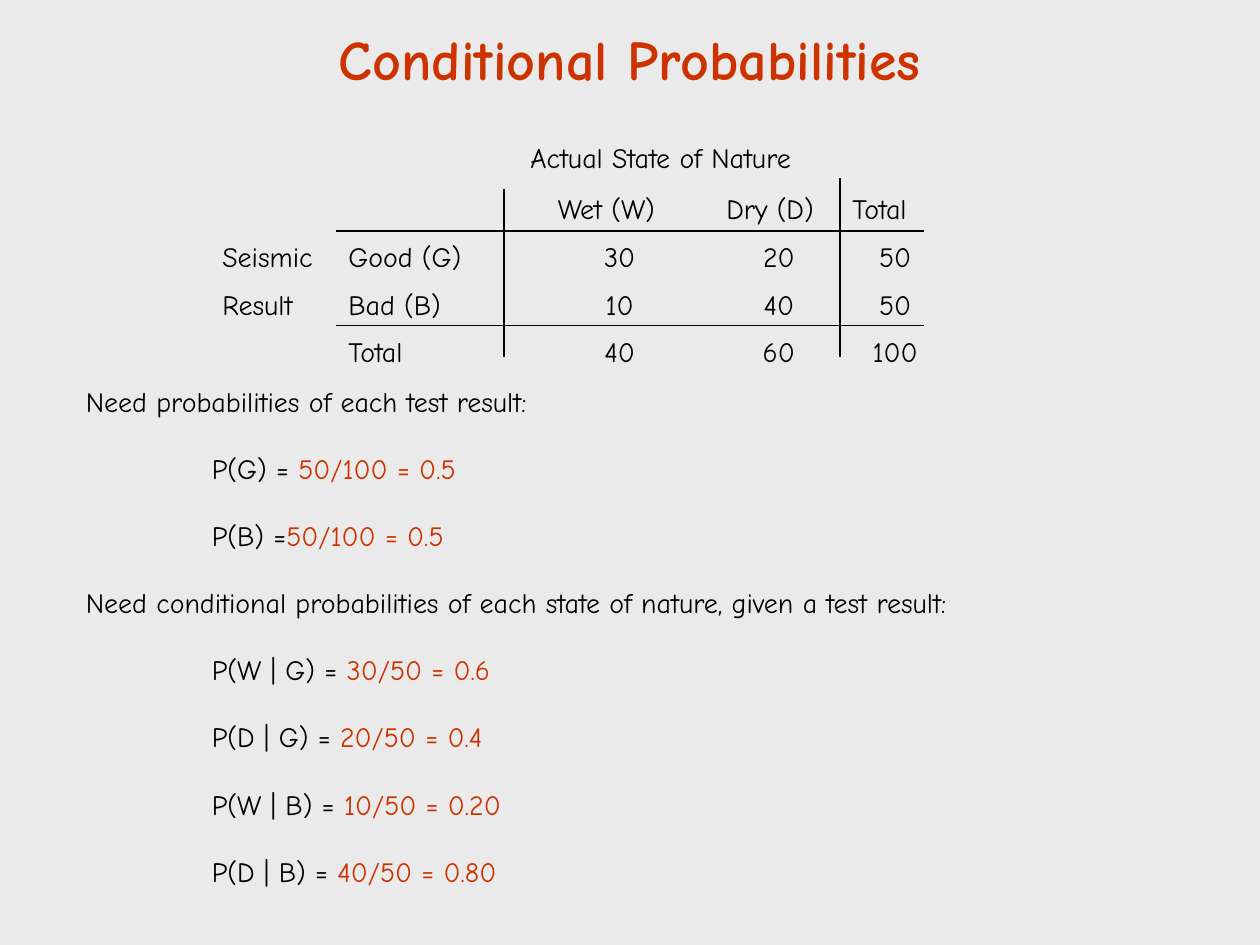
from lxml import etree
from pptx import Presentation
from pptx.dml.color import RGBColor
from pptx.enum.shapes import MSO_CONNECTOR
from pptx.enum.text import MSO_ANCHOR, MSO_AUTO_SIZE, PP_ALIGN
from pptx.oxml.ns import qn
from pptx.util import Pt

STRAIGHT = MSO_CONNECTOR.STRAIGHT
MIDDLE = MSO_ANCHOR.MIDDLE
NO_AUTOFIT = MSO_AUTO_SIZE.NONE
CENTER = PP_ALIGN.CENTER

BLACK = RGBColor(0x00, 0x00, 0x00)
RED = RGBColor(0xCC, 0x33, 0x00)
GRAY = RGBColor(0xEA, 0xEA, 0xEA)
FONT = "Comic Neue"


def add_box(s, left, top, width, height):
    tf = s.shapes.add_textbox(Pt(left), Pt(top), Pt(width), Pt(height)).text_frame
    tf.word_wrap = True
    tf.auto_size = NO_AUTOFIT
    return tf


def add_text(tf, *runs, size=16, bold=False, align=None, tabs=(), gap=0, spacing=None):
    """Add a paragraph of (text, color) runs; gap applies to all but the first."""
    p = tf.paragraphs[0]
    if p.runs:
        p = tf.add_paragraph()
        p.space_before = Pt(gap)
    if tabs:
        tab_list = etree.SubElement(p._p.get_or_add_pPr(), qn("a:tabLst"))
        for pos, side in tabs:
            etree.SubElement(tab_list, qn("a:tab"), pos=str(int(Pt(pos))), algn=side)
    p.alignment = align
    p.line_spacing = spacing
    for text, color in runs:
        r = p.add_run()
        r.text = text
        r.font.name = FONT
        r.font.size = Pt(size)
        r.font.bold = bold
        r.font.color.rgb = color


prs = Presentation()
prs.slide_width, prs.slide_height = Pt(720), Pt(540)
s = prs.slides.add_slide(prs.slide_layouts[6])
s.background.fill.solid()
s.background.fill.fore_color.rgb = GRAY

# Title
tf = add_box(s, 54, 12, 612, 42)
tf.vertical_anchor = MIDDLE
add_text(tf, ("Conditional Probabilities", RED), size=32, bold=True, align=CENTER)

# Probabilities: label and worked value; headings have no value
LABEL_TAB = (72, "l")
probabilities = [
    ("Need probabilities of each test result:",),
    ("\tP(G) = ", "50/100 = 0.5"),
    ("\tP(B) =", "50/100 = 0.5"),
    ("Need conditional probabilities of each state of nature, given a test result:",),
    ("\tP(W | G) = ", "30/50 = 0.6"),
    ("\tP(D | G) = ", "20/50 = 0.4"),
    ("\tP(W | B) = ", "10/50 = 0.20"),
    ("\tP(D | B) = ", "40/50 = 0.80"),
]
tf = add_box(s, 42, 216, 635.76, 295.2)
for parts in probabilities:
    add_text(tf, *zip(parts, (BLACK, RED)), tabs=[LABEL_TAB], gap=19.2)

# Counts: text, tab stops, space before
COUNT_TABS = [LABEL_TAB, (227, "ctr"), (318, "ctr"), (384.5, "ctr")]
counts = [
    ("\tActual State of Nature", [(250.5, "ctr")], 0),
    ("\t\tWet (W)\tDry (D)\tTotal",
     [LABEL_TAB, (219.5, "ctr"), (313, "ctr"), (375.5, "ctr")], 12),
    ("Seismic\tGood (G)\t30\t20\t50", COUNT_TABS, 10),
    ("Result\tBad (B)\t10\t40\t50", COUNT_TABS, 10),
    ("\tTotal\t40\t60\t100", COUNT_TABS, 10),
]
tf = add_box(s, 120, 79, 588.24, 135.5)
for text, tabs, gap in counts:
    add_text(tf, (text, BLACK), tabs=tabs, gap=gap, spacing=0.9)

# Rules between the counts
rules = [
    (192, 132, 528, 132),
    (192, 186, 528, 186),
    (288, 108, 288, 204),
    (480, 102, 480, 204),
]
for ends in rules:
    line = s.shapes.add_connector(STRAIGHT, *map(Pt, ends))
    line.line.color.rgb = BLACK
    line.line.width = Pt(0.75)
    etree.SubElement(line._element.spPr, qn("a:effectLst"))

prs.save("out.pptx")
